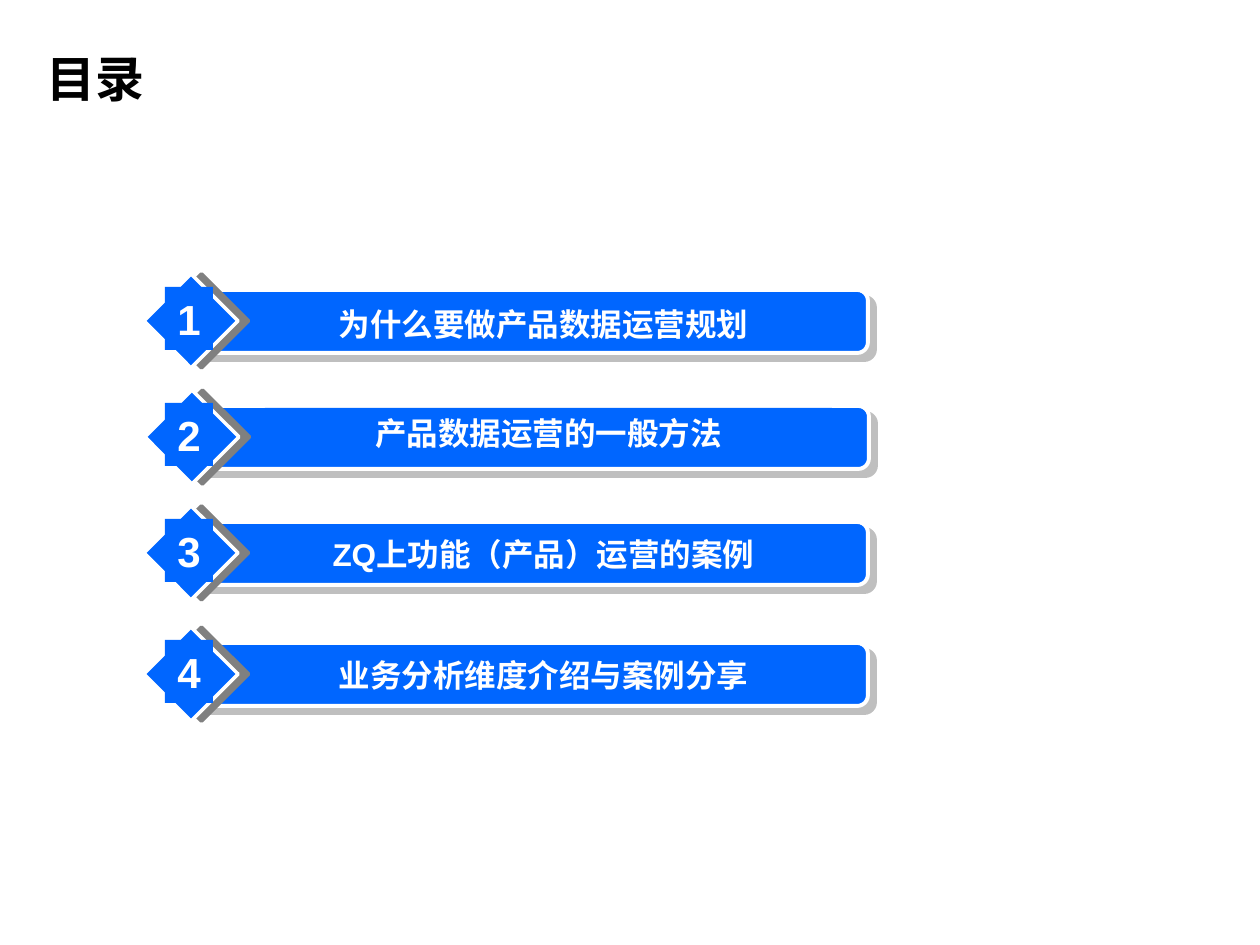
"""Build the table of contents slide with four numbered bars."""
import pptx
import pptx.dml.color
import pptx.enum.shapes
import pptx.enum.text
import pptx.oxml
import pptx.oxml.ns
import pptx.util

PX = 914400 / 126
COLORS = {"blue": "0066FF", "white": "FFFFFF", "gray": "808080", "black": "000000"}
SHAPES = pptx.enum.shapes.MSO_SHAPE
ALIGN = pptx.enum.text.PP_ALIGN
ANCHOR = pptx.enum.text.MSO_ANCHOR
FIT = pptx.enum.text.MSO_AUTO_SIZE
ENTRIES = [
    ("为什么要做产品数据运营规划", 290, 0, 260, 9),
    ("产品数据运营的一般方法", 406, 1, 265, 2),
    ("ZQ上功能（产品）运营的案例", 522, 0, 260, 7),
    ("业务分析维度介绍与案例分享", 643, 0, 260, 7),
]


def px(length):
    """Turn pixels into EMU."""
    return pptx.util.Emu(round(length * PX))


def color(name):
    """Return the named colour."""
    return pptx.dml.color.RGBColor.from_string(COLORS[name])


def set_font(paragraph, name, size, color_name):
    """Give a paragraph its bold font."""
    paragraph.font.name = name
    paragraph.font.size = pptx.util.Pt(size)
    paragraph.font.bold = True
    paragraph.font.color.rgb = color(color_name)


def add_block(slide, kind, left, top, width, height):
    """Add a plain blue shape."""
    shape = slide.shapes.add_shape(kind, px(left), px(top), px(width), px(height))
    shape.shadow.inherit = False
    shape.fill.solid()
    shape.fill.fore_color.rgb = color("blue")
    shape.line.fill.background()
    return shape


def add_outline_and_shadow(shape, width, opacity, distance, angle):
    """Add a white outline and a hard gray shadow."""
    shape.line.color.rgb = color("white")
    shape.line.width = pptx.util.Pt(width)
    effects = shape.element.spPr.find(pptx.oxml.ns.qn("a:effectLst"))
    effects.append(pptx.oxml.parse_xml(
        f'<a:outerShdw {pptx.oxml.ns.nsdecls("a")} blurRad="0" '
        f'dist="{pptx.util.Pt(distance)}" dir="{angle * 60000}" algn="ctr" rotWithShape="0">'
        f'<a:srgbClr val="{COLORS["gray"]}"><a:alpha val="{opacity * 1000}"/></a:srgbClr>'
        '</a:outerShdw>'))


def add_label(slide, text, size, wrap, *box):
    """Add a blue rectangle with centred white text."""
    frame = add_block(slide, SHAPES.RECTANGLE, *box).text_frame
    frame.word_wrap = wrap
    frame.auto_size = FIT.SHAPE_TO_FIT_TEXT
    frame.vertical_anchor = ANCHOR.TOP
    paragraph = frame.paragraphs[0]
    paragraph.text = text
    paragraph.alignment = ALIGN.CENTER
    set_font(paragraph, "Arial", size, "white")


def add_entry(slide, number, text, top, shift, label_left, label_drop):
    """Add one numbered bar."""
    bar = add_block(slide, SHAPES.ROUNDED_RECTANGLE, 185 + shift, top, 683, 63)
    bar.adjustments[0] = 0.17
    add_outline_and_shadow(bar, 2.25, 50, 5.7, 45)
    diamond = add_block(slide, SHAPES.DIAMOND, 144 + shift, top - 16, 94, 94)
    add_outline_and_shadow(diamond, 2, 100, 6, 0)
    add_label(slide, text, 18, True, label_left, top + label_drop, 567, 50)
    add_label(slide, str(number), 24, False, 165, top - 3, 48, 63)


def add_title(slide, text):
    """Fill and place the title placeholder."""
    title = slide.shapes.title
    title.left, title.top, title.width, title.height = map(px, (34, 20, 828, 116))
    title.text_frame.vertical_anchor = ANCHOR.MIDDLE
    paragraph = title.text_frame.paragraphs[0]
    paragraph.text = text
    paragraph.alignment = ALIGN.LEFT
    set_font(paragraph, "Times New Roman", 28, "black")


def main():
    """Build and save the presentation."""
    presentation = pptx.Presentation()
    presentation.slide_width = px(1260)
    presentation.slide_height = px(945)
    slide = presentation.slides.add_slide(presentation.slide_layouts[5])
    add_title(slide, "目录")
    for number, entry in enumerate(ENTRIES, 1):
        add_entry(slide, number, *entry)
    presentation.save("out.pptx")


if __name__ == "__main__":
    main()
